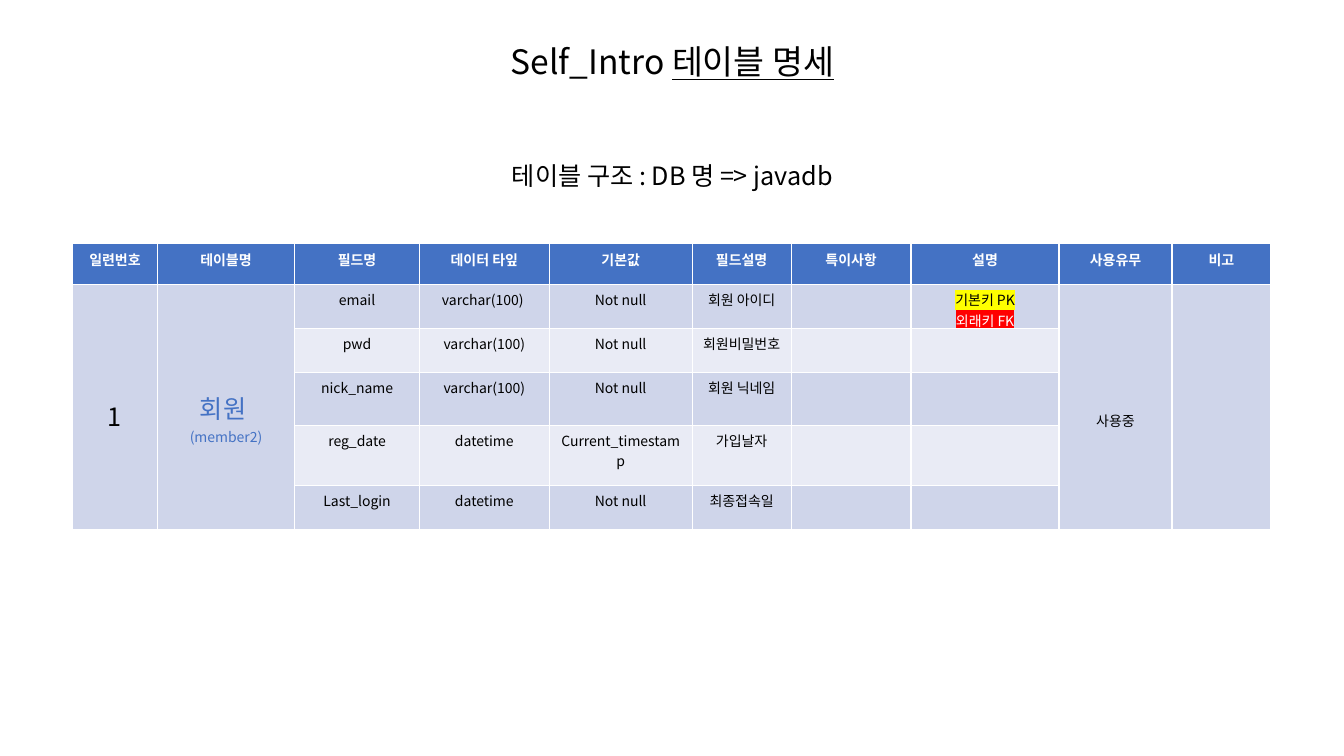
from lxml import etree
from pptx import Presentation
from pptx.dml.color import RGBColor
from pptx.enum.text import MSO_ANCHOR, PP_ALIGN
from pptx.oxml.ns import qn
from pptx.util import Pt

CENTER = PP_ALIGN.CENTER
MIDDLE = MSO_ANCHOR.MIDDLE
FACE = "Noto Sans CJK KR"
COLORS = {
    "black": "000000", "white": "FFFFFF", "blue": "4472C4",
    "dark": "CFD5EA", "light": "E9EBF5", "yellow": "FFFF00", "red": "FF0000",
}
WIDTHS = [60.4, 98.3, 89, 92.8, 102.1, 70.7, 85.7, 105.7, 80.7, 70.7]
HEIGHTS = [29.2, 31.4, 31.4, 37.9, 43, 31.4]
HEADS = ["일련번호", "테이블명", "필드명", "데이터 타잎", "기본값",
         "필드설명", "특이사항", "설명", "사용유무", "비고"]
FIELDS = [
    ["email", "varchar(100) ", "Not null", "회원 아이디"],
    ["pwd", "varchar(100)", "Not null", "회원비밀번호"],
    ["nick_name", "varchar(100)", "Not null", "회원 닉네임"],
    ["reg_date", "datetime", "Current_timestamp", "가입날자"],
    ["Last_login", "datetime", "Not null", "최종접속일"],
]
KEYS = [("기본키 PK", 10, "black", "yellow"), ("외래키 FK", 10, "white", "red")]
MERGED = {
    0: ([("1", 18, "black")], 16),
    1: ([("회원 ", 18, "blue"), ("(member2)", 10, "blue")], 19),
    8: ([("사용중", 10, "black")], 22),
    9: ([], 4),
}


class Deck:
    def __init__(self, wide, high):
        self.show = Presentation()
        self.show.slide_width, self.show.slide_height = Pt(wide), Pt(high)
        self.slide = self.show.slides.add_slide(self.show.slide_layouts[5])

    def style(self, para, size, color="black", bold=False):
        para.alignment = CENTER
        font = para.font
        font.size, font.bold, font.name = Pt(size), bold, FACE
        font.color.rgb = RGBColor.from_string(COLORS[color])
        asian = etree.SubElement(font._element, qn("a:ea"))
        asian.set("typeface", FACE)

    def mark(self, run, color):
        mark = etree.SubElement(run.font._element, qn("a:highlight"))
        etree.SubElement(mark, qn("a:srgbClr")).set("val", COLORS[color])

    def title(self, plain, lined, left, top, wide, high):
        shape = self.slide.shapes.title
        shape.left, shape.top = Pt(left), Pt(top)
        shape.width, shape.height = Pt(wide), Pt(high)
        frame = shape.text_frame
        frame.vertical_anchor = MIDDLE
        para = frame.paragraphs[0]
        para.line_spacing = 0.9
        self.style(para, 24)
        para.add_run().text = plain
        run = para.add_run()
        run.text = lined
        run.font.underline = True

    def label(self, text, left, top, wide, high):
        box = self.slide.shapes.add_textbox(Pt(left), Pt(top), Pt(wide), Pt(high))
        frame = box.text_frame
        frame.word_wrap = False
        frame.text = text
        self.style(frame.paragraphs[0], 18)

    def table(self, left, top, widths, heights):
        frame = self.slide.shapes.add_table(
            len(heights), len(widths), Pt(left), Pt(top),
            Pt(sum(widths)), Pt(sum(heights)))
        grid = frame.table
        for col, wide in zip(grid.columns, widths):
            col.width = Pt(wide)
        for row, high in zip(grid.rows, heights):
            row.height = Pt(high)
        return grid

    def cell(self, cell, fill, lines=(), bold=False):
        cell.fill.solid()
        cell.fill.fore_color.rgb = RGBColor.from_string(COLORS[fill])
        frame = cell.text_frame
        self.style(frame.paragraphs[0], 10)
        for i, (text, size, color, *marks) in enumerate(lines):
            para = frame.add_paragraph() if i else frame.paragraphs[0]
            run = para.add_run()
            run.text = text
            if i or (size, color, bold) != (10, "black", False):
                para.font._element.clear()
                self.style(para, size, color, bold)
            for color in marks:
                self.mark(run, color)


def main():
    deck = Deck(960, 540)
    deck.title("Self_Intro ", "테이블 명세", 307.5, 13.7, 345.6, 63.4)
    deck.label("테이블 구조 : DB 명 => javadb", 345.6, 110.9, 269.3, 28.8)
    grid = deck.table(51.9, 174.2, WIDTHS, HEIGHTS)
    for col, head in enumerate(HEADS):
        deck.cell(grid.cell(0, col), "blue", [(head, 10, "white")], True)
    for row, names in enumerate(FIELDS, 1):
        fill = "dark" if row % 2 else "light"
        for col, name in enumerate(names, 2):
            deck.cell(grid.cell(row, col), fill, [(name, 10, "black")])
        deck.cell(grid.cell(row, 6), fill)
        deck.cell(grid.cell(row, 7), fill, KEYS if row == 1 else [])
    for col, (lines, inset) in MERGED.items():
        cell = grid.cell(1, col)
        cell.merge(grid.cell(len(FIELDS), col))
        cell.vertical_anchor = MIDDLE
        cell.margin_top = Pt(inset)
        deck.cell(cell, "dark", lines)
    deck.show.save("out.pptx")


if __name__ == "__main__":
    main()
